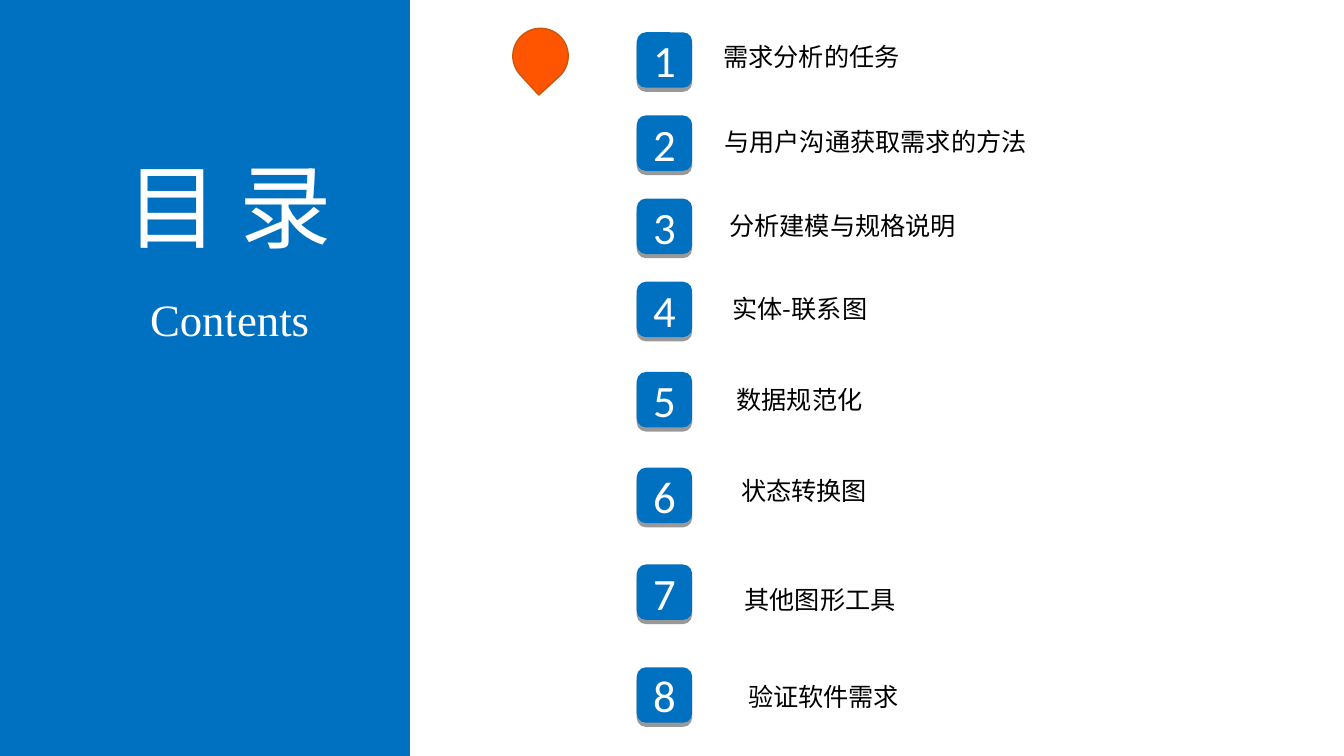
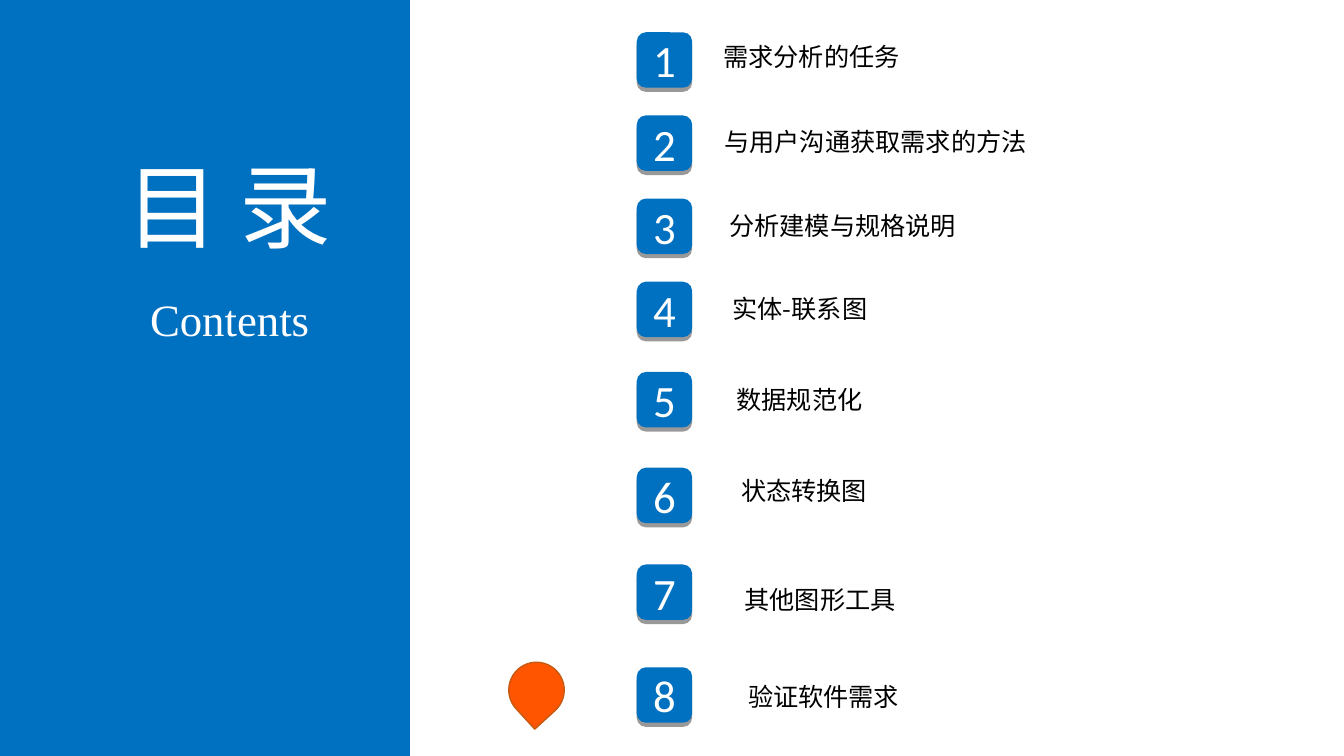
from lxml.etree import SubElement
from pptx import Presentation
from pptx.dml.color import RGBColor
from pptx.enum.shapes import MSO_SHAPE as Shape
from pptx.enum.text import MSO_ANCHOR as Anchor, MSO_AUTO_SIZE as AutoSize, PP_ALIGN as Align
from pptx.oxml import parse_xml
from pptx.oxml.ns import nsdecls, qn
from pptx.util import Inches, Pt

WIDTH, HEIGHT = 13.34, 7.5
BLUE, ORANGE, BROWN = "0070C0", "FF5400", "C55A11"
WHITE, BLACK = "FFFFFF", "000000"
CHINESE, NUMERAL, ENGLISH = "Noto Sans CJK SC", "Calibri", "Times New Roman"

PANEL_WIDTH = 4.07
BADGE_LEFT, BADGE_SIZE = 6.32, 0.55
FIRST_TOP, ROW_PITCH = 0.32, 0.825
BADGE_TOPS = [FIRST_TOP + row * ROW_PITCH for row in range(4)] + [3.69, 4.64, 5.6, 6.62]
LABEL_HEIGHT = 0.4

# Label, left, top, width, wraps
CHAPTERS = [
    ("需求分析的任务", 7.08, 0.36, 1.95, False),
    ("与用户沟通获取需求的方法", 7.09, 1.2, 3.2, False),
    ("分析建模与规格说明", 7.14, 2.04, 2.45, False),
    ("实体-联系图", 7.14, 2.86, 1.6, True),
    ("数据规范化", 7.21, 3.76, 1.45, False),
    ("状态转换图", 7.24, 4.67, 1.48, True),
    ("其他图形工具", 7.13, 5.75, 2.02, True),
    ("验证软件需求", 7.24, 6.71, 1.87, True),
]

# Left and top of the marker beside the current chapter, one per slide
MARKERS = [(5.09, 0.28), (5.05, 6.57)]


def color(hex_text):
    return RGBColor.from_string(hex_text)


def place(shape, left, top, width, height):
    shape.left, shape.top = Inches(left), Inches(top)
    shape.width, shape.height = Inches(width), Inches(height)


def write(shape, text, size, typeface, hex_text):
    """Fill a shape with one centred paragraph."""
    para = shape.text_frame.paragraphs[0]
    para.text = text
    para.alignment = Align.CENTER
    para.font.size = Pt(size)
    para.font.name = typeface
    para.font.color.rgb = color(hex_text)
    properties = para.font._element
    SubElement(properties, qn("a:ea")).set("typeface", typeface)


def fit_frame(shape, wrap):
    frame = shape.text_frame
    frame.word_wrap = wrap
    frame.auto_size = AutoSize.SHAPE_TO_FIT_TEXT
    frame.vertical_anchor = Anchor.TOP


def add_text(page, text, bounds, size, typeface, hex_text, wrap=False):
    box = page.shapes.add_textbox(*map(Inches, bounds))
    fit_frame(box, wrap)
    write(box, text, size, typeface, hex_text)


def add_filled(page, kind, bounds, hex_text):
    shape = page.shapes.add_shape(kind, *map(Inches, bounds))
    shape.shadow.inherit = False
    shape.fill.solid()
    shape.fill.fore_color.rgb = color(hex_text)
    shape.line.fill.background()
    return shape


def drop_shadow(shape):
    """Cast a hard translucent shadow 3 points straight down."""
    effects = shape._element.spPr.find(qn("a:effectLst"))
    effects.append(parse_xml(
        f'<a:outerShdw {nsdecls("a")} blurRad="0" dist="{Pt(3)}" dir="5400000" rotWithShape="0">'
        f'<a:srgbClr val="{BLACK}"><a:alpha val="40000"/></a:srgbClr></a:outerShdw>'))


def add_panel(page):
    panel = add_filled(page, Shape.RECTANGLE, (0, 0, PANEL_WIDTH, HEIGHT), BLUE)
    page.shapes._spTree.insert(2, panel._element)  # behind the title
    title = page.shapes.title
    place(title, 1.03, 1.43, 2.49, 1.2)
    fit_frame(title, False)
    write(title, "目 录", 66, CHINESE, WHITE)
    add_text(page, "Contents", (1.39, 2.84, 1.78, 0.64), 32, ENGLISH, WHITE)


def add_chapter(page, number, badge_top, chapter):
    label, left, top, width, wrap = chapter
    badge = add_filled(page, Shape.ROUNDED_RECTANGLE,
                       (BADGE_LEFT, badge_top, BADGE_SIZE, BADGE_SIZE), BLUE)
    drop_shadow(badge)
    write(badge, str(number), 32, NUMERAL, WHITE)
    add_text(page, label, (left, top, width, LABEL_HEIGHT), 18, CHINESE, BLACK, wrap)


def add_marker(page, left, top):
    marker = add_filled(page, Shape.TEAR, (left, top, BADGE_SIZE, BADGE_SIZE), ORANGE)
    marker.rotation = 137.5
    marker.line.color.rgb = color(BROWN)
    marker.line.width = Pt(1)


def add_contents(deck, marker):
    page = deck.slides.add_slide(deck.slide_layouts.get_by_name("Title Only"))
    add_panel(page)
    for number, (badge_top, chapter) in enumerate(zip(BADGE_TOPS, CHAPTERS), 1):
        add_chapter(page, number, badge_top, chapter)
    add_marker(page, *marker)


def main():
    deck = Presentation()
    deck.slide_width, deck.slide_height = Inches(WIDTH), Inches(HEIGHT)
    for marker in MARKERS:
        add_contents(deck, marker)
    deck.save("out.pptx")


if __name__ == "__main__":
    main()
